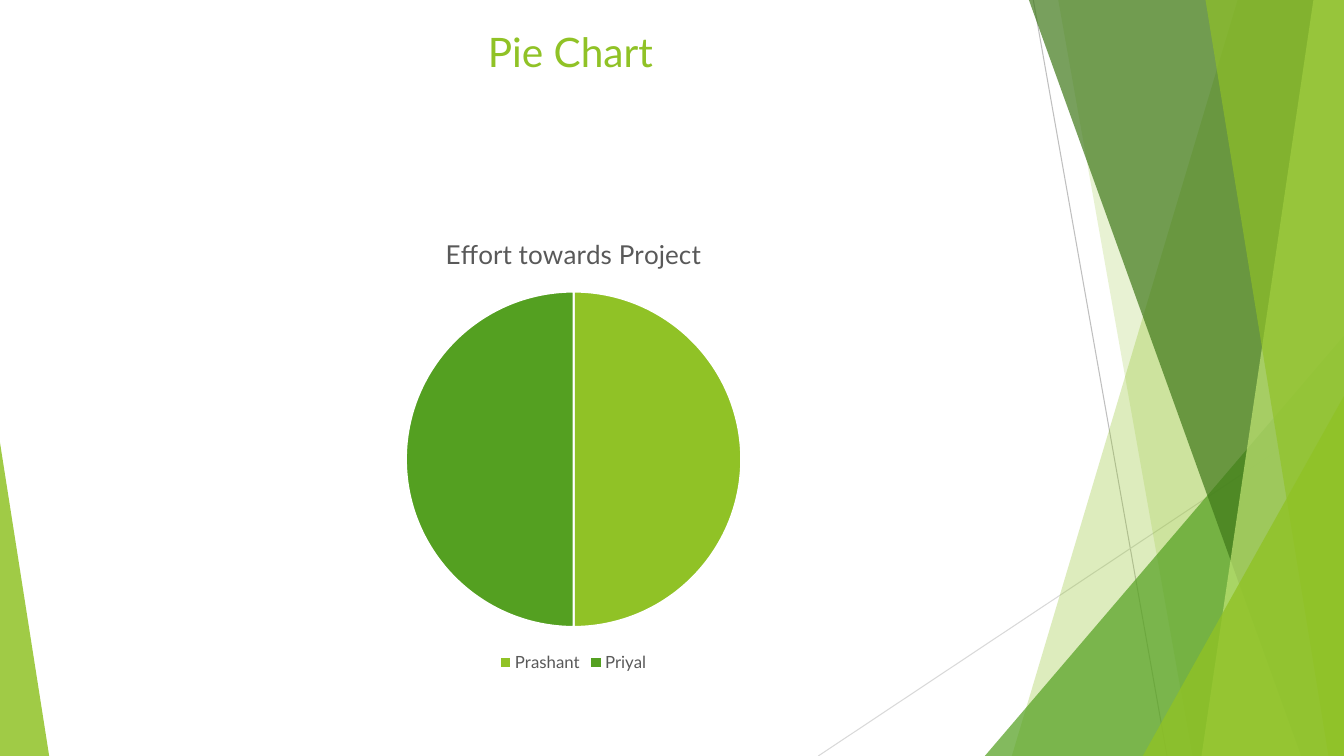
from dataclasses import dataclass

from lxml.etree import SubElement
from pptx import Presentation
from pptx.chart.data import CategoryChartData
from pptx.dml.color import RGBColor
from pptx.enum.chart import XL_CHART_TYPE, XL_LEGEND_POSITION
from pptx.enum.shapes import MSO_CONNECTOR, MSO_SHAPE
from pptx.enum.text import MSO_ANCHOR, MSO_AUTO_SIZE, PP_ALIGN
from pptx.oxml.ns import qn
from pptx.util import Cm, Pt

WIDTH, HEIGHT = 33.87, 19.05
COLORS = {
    "lime": "90C226",
    "green": "54A021",
    "forest": "3F7819",
    "pale": "C0E474",
    "text": "595959",
    "silver": "BFBFBF",
    "mist": "D9D9D9",
    "white": "FFFFFF",
}


@dataclass(frozen=True)
class Ray:
    start: tuple[float, float]
    end: tuple[float, float]
    color: str


@dataclass(frozen=True)
class Band:
    top_left: float
    bottom_left: float
    color: str
    opacity: int


@dataclass(frozen=True)
class Corner:
    left: float
    top: float
    width: float
    apex: float
    color: str
    opacity: int


RAYS = [
    Ray((26.04, 0), (29.41, HEIGHT), "silver"),
    Ray((WIDTH, 10.24), (20.62, HEIGHT), "mist"),
]
FACETS = [
    Band(31.19, 25.5, "lime", 30),
    Band(26.67, 30.05, "lime", 20),
    Corner(24.82, 8.46, WIDTH - 24.82, 1, "green", 72),
    Band(25.93, 32.79, "forest", 70),
    Band(33.1, 30.28, "pale", 70),
    Band(30.38, 33.48, "lime", 65),
    Corner(28.8, 9.98, WIDTH - 28.8, 1, "lime", 80),
    Corner(0, 11.15, 1.24, 0, "lime", 85),
]


def rgb(name: str) -> RGBColor:
    return RGBColor.from_string(COLORS[name])


def set_format(target, values: dict) -> None:
    for name, value in values.items():
        setattr(target, name, value)


def set_font(font, size: float, color: str) -> None:
    set_format(font, {"name": "Lato", "size": Pt(size), "bold": False})
    font.color.rgb = rgb(color)


def draw_ray(page, ray: Ray) -> None:
    points = [Cm(value) for value in (*ray.start, *ray.end)]
    line = page.shapes.add_connector(MSO_CONNECTOR.STRAIGHT, *points)
    line.line.color.rgb = rgb(ray.color)
    line.line.width = Pt(0.75)
    SubElement(line._element.spPr, qn("a:effectLst"))


def draw_facet(page, facet: Band | Corner) -> None:
    if isinstance(facet, Band):
        outline = page.shapes.build_freeform(Cm(facet.top_left), 0)
        outline.add_line_segments([
            (Cm(WIDTH), 0),
            (Cm(WIDTH), Cm(HEIGHT)),
            (Cm(facet.bottom_left), Cm(HEIGHT)),
        ])
        shape = outline.convert_to_shape()
    else:
        shape = page.shapes.add_shape(
            MSO_SHAPE.ISOSCELES_TRIANGLE, Cm(facet.left), Cm(facet.top),
            Cm(facet.width), Cm(HEIGHT - facet.top))
        shape.adjustments[0] = facet.apex
    shape.shadow.inherit = False
    shape.line.fill.background()
    shape.fill.solid()
    shape.fill.fore_color.rgb = rgb(facet.color)
    color = shape._element.spPr.find(f"{qn('a:solidFill')}/{qn('a:srgbClr')}")
    SubElement(color, qn("a:alpha"), val=str(facet.opacity * 1000))


def write_title(page, text: str) -> None:
    box = page.shapes.title
    set_format(box, {"left": Cm(4.78), "top": Cm(0.53),
                     "width": Cm(19.2), "height": Cm(1.5)})
    frame = box.text_frame
    frame.text = text
    set_format(frame, {"word_wrap": True, "vertical_anchor": MSO_ANCHOR.MIDDLE,
                       "auto_size": MSO_AUTO_SIZE.SHAPE_TO_FIT_TEXT})
    para = frame.paragraphs[0]
    para.alignment = PP_ALIGN.CENTER
    set_font(para.runs[0].font, 29, "lime")


def draw_effort_chart(page) -> None:
    title = "Effort towards Project"
    data = CategoryChartData()
    data.categories = ["Prashant", "Priyal"]
    data.add_series(title, (50, 50))
    chart = page.shapes.add_chart(
        XL_CHART_TYPE.PIE, Cm(5.64), Cm(5.44), Cm(17.63), Cm(11.6), data).chart
    set_format(chart.font, {"name": "Lato", "size": Pt(10)})

    set_format(chart, {"has_title": True, "has_legend": True})
    heading = chart.chart_title.text_frame
    heading.text = title
    set_font(heading.paragraphs[0].runs[0].font, 18.6, "text")
    set_format(chart.legend, {"position": XL_LEGEND_POSITION.BOTTOM,
                              "include_in_layout": False})
    set_font(chart.legend.font, 12, "text")

    plot = chart.plots[0]
    plot.vary_by_categories = True
    for index, color in enumerate(("lime", "green")):
        wedge = plot.series[0].points[index].format
        wedge.fill.solid()
        wedge.fill.fore_color.rgb = rgb(color)
        wedge.line.color.rgb = rgb("white")
        wedge.line.width = Pt(1.5)


deck = Presentation()
set_format(deck, {"slide_width": Cm(WIDTH), "slide_height": Cm(HEIGHT)})
page = deck.slides.add_slide(deck.slide_layouts[5])
for ray in RAYS:
    draw_ray(page, ray)
for facet in FACETS:
    draw_facet(page, facet)
write_title(page, "Pie Chart")
draw_effort_chart(page)
deck.save("out.pptx")
